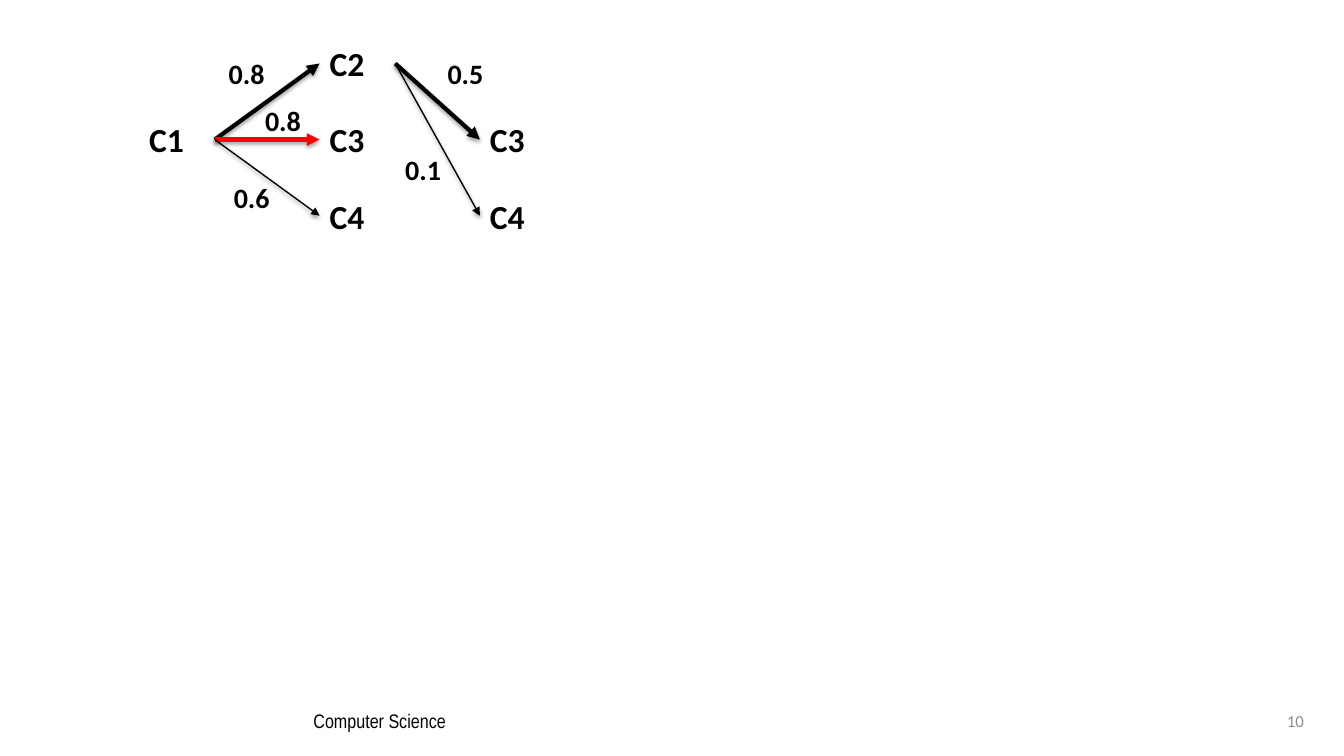
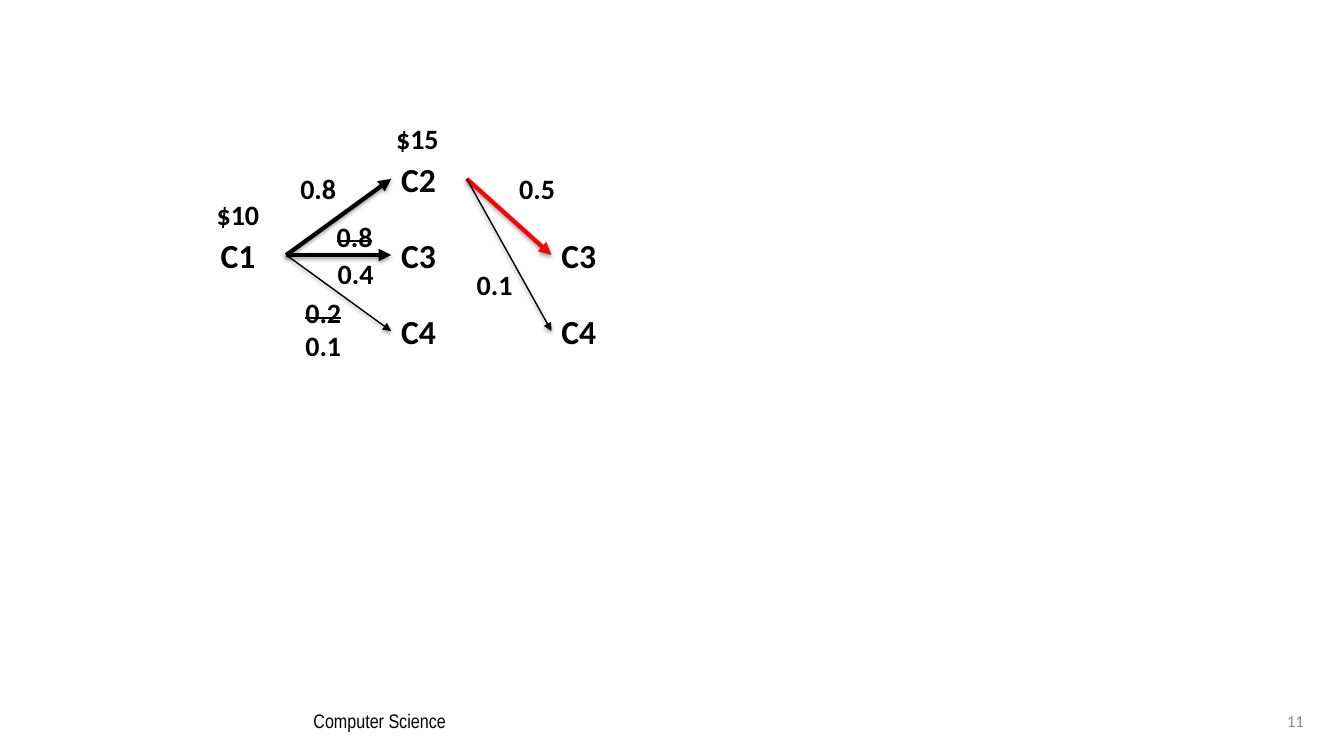
"""Build two slides that show a weighted tree of nodes C1 to C4."""
from typing import NamedTuple

from lxml.etree import SubElement
from pptx import Presentation
from pptx.dml.color import RGBColor
from pptx.enum.shapes import MSO_CONNECTOR
from pptx.enum.text import MSO_ANCHOR, PP_ALIGN
from pptx.oxml.ns import qn
from pptx.util import Inches, Pt

BLACK = RGBColor(0x00, 0x00, 0x00)
RED = RGBColor(0xFF, 0x00, 0x00)
GRAY = RGBColor(0x8C, 0x8C, 0x8C)

COLUMNS = (1.38, 3.17, 4.76)
TOP, ROW_STEP = 0.38, 0.755
NODE_W, NODE_H = 0.75, 0.5
LABEL_W, LABEL_H = 0.62, 0.44


class Node(NamedTuple):
    text: str
    col: int
    row: int


class Edge(NamedTuple):
    start: Node
    end: Node
    width: float


class Label(NamedTuple):
    text: str
    x: float
    y: float
    w: float = LABEL_W
    strike: bool = False


class Tree(NamedTuple):
    number: int
    dx: float
    dy: float
    red_edge: int | None
    weights: tuple[str, ...]
    struck: tuple[int, ...] = ()
    notes: tuple[Label, ...] = ()


C1, C2 = Node("C1", 0, 1), Node("C2", 1, 0)
C3, C4 = Node("C3", 1, 1), Node("C4", 1, 2)
C3_LEAF, C4_LEAF = Node("C3", 2, 1), Node("C4", 2, 2)
NODES = (C1, C2, C3, C4, C3_LEAF, C4_LEAF)
EDGES = (
    Edge(C1, C2, 3),
    Edge(C1, C3, 3),
    Edge(C1, C4, 1),
    Edge(C2, C3_LEAF, 3),
    Edge(C2, C4_LEAF, 1),
)
WEIGHT_SPOTS = ((2.17, 0.51), (2.53, 0.98), (2.22, 1.74), (4.34, 0.51), (3.92, 1.46))

TREES = (
    Tree(10, 0, 0, 1, ("0.8", "0.8", "0.6", "0.5", "0.1")),
    Tree(
        11, 0.71, 1.145, 3, ("0.8", "0.8", "0.2", "0.5", "0.1"), (1, 2),
        (
            Label("$10", 2.05, 1.91, NODE_W),
            Label("$15", 3.83, 1.16, NODE_W),
            Label("0.4", 3.25, 2.5),
            Label("0.1", 2.93, 3.21),
        ),
    ),
)


def add_text(shapes, text: str, x: float, y: float, w: float, h: float, size: float,
             font: str = "Calibri", color: RGBColor = BLACK, bold: bool = True,
             strike: bool = False):
    """Add a one-line text box and return its text frame."""
    tf = shapes.add_textbox(Inches(x), Inches(y), Inches(w), Inches(h)).text_frame
    tf.word_wrap = True
    tf.text = text
    r = tf.paragraphs[0].runs[0]
    r.font.name, r.font.size, r.font.bold = font, Pt(size), bold
    r.font.color.rgb = color
    if strike:
        r._r.get_or_add_rPr().set("strike", "sngStrike")
    return tf


def add_label(shapes, label: Label) -> None:
    """Add a weight or price label."""
    add_text(shapes, label.text, label.x, label.y, label.w, LABEL_H, 20,
             strike=label.strike)


def add_arrow(shapes, x1: float, y1: float, x2: float, y2: float, width: float,
              color: RGBColor) -> None:
    """Add a straight arrow with a soft shadow below it."""
    arrow = shapes.add_connector(
        MSO_CONNECTOR.STRAIGHT, Inches(x1), Inches(y1), Inches(x2), Inches(y2))
    arrow.line.width = Pt(width)
    arrow.line.color.rgb = color
    sp_pr = arrow._element.spPr
    SubElement(sp_pr.find(qn("a:ln")), qn("a:tailEnd"), type="triangle")
    shadow = SubElement(
        SubElement(sp_pr, qn("a:effectLst")), qn("a:outerShdw"),
        blurRad=str(Pt(3.1)), dist=str(Pt(1.6)), dir="5400000", rotWithShape="0")
    clr = SubElement(shadow, qn("a:srgbClr"), val=str(BLACK))
    SubElement(clr, qn("a:alpha"), val="38000")


def add_tree(shapes, tree: Tree) -> None:
    """Draw the nodes, edges and weights of a tree."""
    def corner(node: Node) -> tuple[float, float]:
        """Return the left and top of a node."""
        return COLUMNS[node.col] + tree.dx, TOP + node.row * ROW_STEP + tree.dy

    for node in NODES:
        add_text(shapes, node.text, *corner(node), NODE_W, NODE_H, 24)
    for i, edge in enumerate(EDGES):
        x1, y1 = corner(edge.start)
        x2, y2 = corner(edge.end)
        add_arrow(shapes, x1 + NODE_W, y1 + NODE_H / 2, x2, y2 + NODE_H / 2,
                  edge.width, RED if i == tree.red_edge else BLACK)
    for i, (text, (x, y)) in enumerate(zip(tree.weights, WEIGHT_SPOTS)):
        add_label(shapes, Label(text, x + tree.dx, y + tree.dy, strike=i in tree.struck))


def add_footer(shapes, number: int) -> None:
    """Add the footer text and the slide number."""
    add_text(shapes, "Computer Science", 3.01, 6.98, 2.49, 0.34, 14,
             font="Arial Narrow", bold=False)
    tf = add_text(shapes, str(number), 11.03, 6.95, 2, 0.4, 12, color=GRAY, bold=False)
    tf.vertical_anchor = MSO_ANCHOR.MIDDLE
    tf.paragraphs[0].alignment = PP_ALIGN.RIGHT


def main() -> None:
    """Build and save the presentation."""
    prs = Presentation()
    prs.slide_width, prs.slide_height = Inches(13.33), Inches(7.5)
    for tree in TREES:
        s = prs.slides.add_slide(prs.slide_layouts[6])
        add_footer(s.shapes, tree.number)
        add_tree(s.shapes.add_group_shape().shapes, tree)
        for note in tree.notes:
            add_label(s.shapes, note)
    prs.save("out.pptx")


main()
